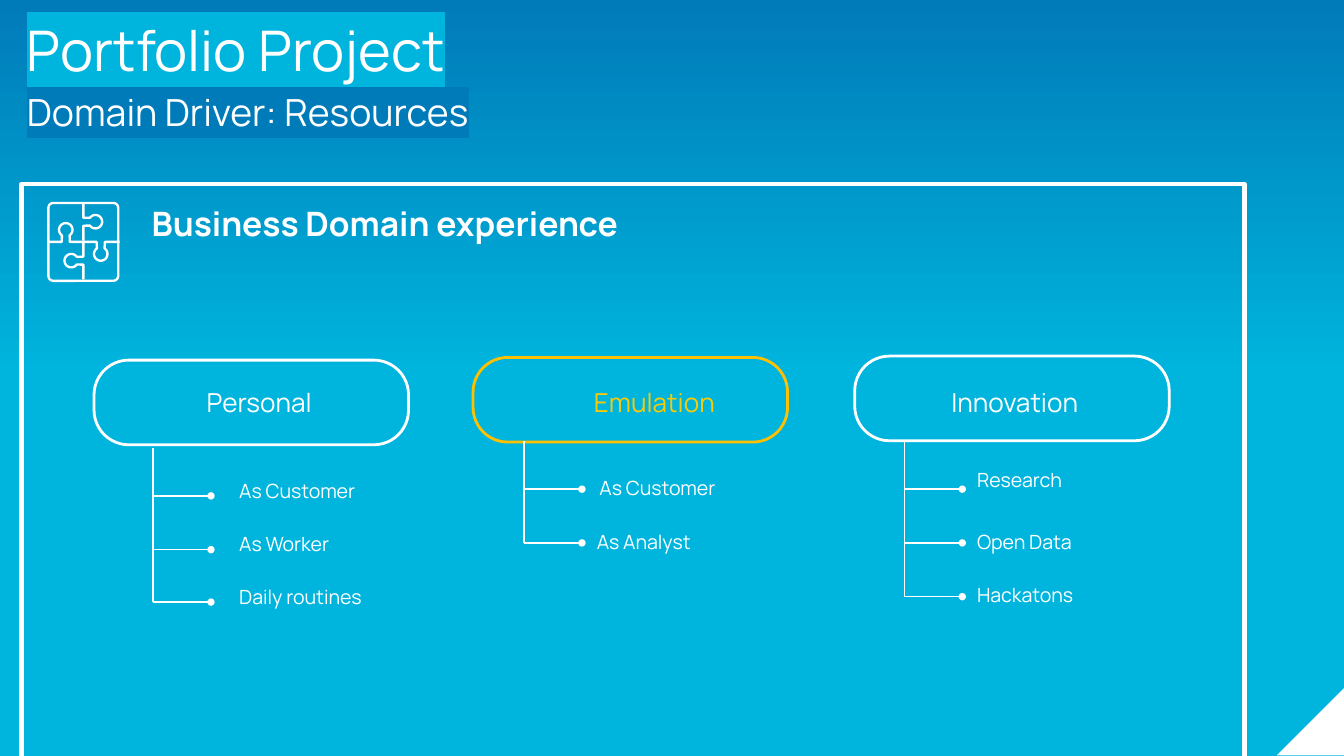
import copy
import math
from pptx import Presentation
from pptx import util as u
from pptx.dml.color import RGBColor
from pptx.enum import shapes, text
from pptx.oxml import ns
from lxml import etree

I = u.Inches
C = {"white": "FFFFFF", "cyan": "00B5DD", "blue": "007BB9",
     "gold": "FFC000", "yellow": "F9CB07"}


def write(tf, txt, size, color="white", bold=None, align=text.PP_ALIGN.LEFT,
          mark=None, spacing=None, new=False):
    p = tf.add_paragraph() if new else tf.paragraphs[0]
    p.alignment = align
    p.line_spacing = spacing
    r = p.add_run()
    r.text = txt
    r.font.size = u.Pt(size)
    r.font.bold = bold
    r.font.color.rgb = RGBColor.from_string(C[color])
    if mark:
        h = etree.SubElement(r.font._element, ns.qn("a:highlight"))
        etree.SubElement(h, ns.qn("a:srgbClr"), val=C[mark])
    r.font.name = "Manrope"


def add_line(x1, y1, x2, y2, dot=False):
    c = s.shapes.add_connector(shapes.MSO_CONNECTOR.STRAIGHT, I(x1), I(y1), I(x2), I(y2))
    c.line.color.rgb = RGBColor.from_string(C["white"])
    c.line.width = u.Pt(0.75)
    if dot:
        etree.SubElement(c.line._get_or_add_ln(), ns.qn("a:tailEnd"),
                         type="oval", w="sm", len="sm")
    etree.SubElement(c._element.spPr, ns.qn("a:effectLst"))


prs = Presentation()
prs.slide_width = I(10)
prs.slide_height = prs.slide_width * 9 // 16
s = prs.slides.add_slide(prs.slide_layouts[5])

bg = s.background.fill
bg.gradient()
bg.gradient_angle = 90
for stop, name in zip(bg.gradient_stops, ("cyan", "blue")):
    stop.color.rgb = RGBColor.from_string(C[name])
stops = next(s._element.iter(ns.qn("a:gsLst")))
middle = copy.deepcopy(stops[0])
middle.set("pos", "50000")
stops.insert(1, middle)

corner = s.shapes.add_shape(shapes.MSO_SHAPE.RIGHT_TRIANGLE, I(9.5), I(5.11), I(0.51), I(0.51))
corner.rotation = 270
corner.shadow.inherit = False
corner.fill.solid()
corner.fill.fore_color.rgb = RGBColor.from_string(C["white"])
corner.line.fill.background()

title = s.shapes.title
title.left, title.top, title.width, title.height = I(0.2), I(0.04), I(6.46), I(1.11)
tf = title.text_frame
tf.margin_left = tf.margin_top = tf.margin_right = tf.margin_bottom = 0
tf.vertical_anchor = text.MSO_ANCHOR.TOP
tf.auto_size = text.MSO_AUTO_SIZE.NONE
write(tf, "Portfolio Project", 30, mark="cyan", spacing=1.15)
write(tf, "Domain Driver: Resources", 20, mark="blue", spacing=1.15, new=True)

rect, rounded = shapes.MSO_SHAPE.RECTANGLE, shapes.MSO_SHAPE.ROUNDED_RECTANGLE
outlines = [
    (rect, 0.16, 1.37, 9.1, 5.06, "white", 2.25, None),
    (rounded, 0.36, 1.51, 0.52, 0.58, "white", 1.25, 0.07),
    (rounded, 0.7, 2.68, 2.34, 0.63, "white", 1.5, 0.41),
    (rounded, 3.52, 2.66, 2.34, 0.63, "gold", 1.5, 0.41),
    (rounded, 6.36, 2.65, 2.34, 0.63, "white", 1.5, 0.41),
]
for kind, x, y, w, h, color, weight, radius in outlines:
    sp = s.shapes.add_shape(kind, I(x), I(y), I(w), I(h))
    sp.shadow.inherit = False
    sp.fill.background()
    sp.line.color.rgb = RGBColor.from_string(C[color])
    sp.line.width = u.Pt(weight)
    if radius:
        sp.adjustments[0] = radius

arc = [math.radians(a) for a in range(235, -56, -10)]
knob = [(0.13 + 0.05 * math.cos(a), 0.09 + 0.05 * math.sin(a)) for a in arc]
seam = [(0, 0), (0.1, 0), *knob, (0.16, 0), (0.27, 0)]
for x, y, vertical, side in [(0.62, 1.52, True, 1), (0.62, 1.81, True, -1),
                             (0.36, 1.8, False, -1), (0.62, 1.8, False, 1)]:
    pts = [(x + side * n, y + t) if vertical else (x + t, y + side * n) for t, n in seam]
    fb = s.shapes.build_freeform(I(pts[0][0]), I(pts[0][1]))
    fb.add_line_segments([(I(a), I(b)) for a, b in pts[1:]], close=False)
    sp = fb.convert_to_shape()
    sp.shadow.inherit = False
    sp.fill.background()
    sp.line.color.rgb = RGBColor.from_string(C["white"])
    sp.line.width = u.Pt(1.25)

branches = [(1.14, 3.33, (3.69, 4.09, 4.48)),
            (3.9, 3.28, (3.64, 4.04)),
            (6.73, 3.28, (3.64, 4.04, 4.44))]
for x, top, ends in branches:
    for start, end in zip((top, *ends), ends):
        add_line(x, start, x, end)
        add_line(x, end, x + 0.43, end, dot=True)

center, left = text.PP_ALIGN.CENTER, text.PP_ALIGN.LEFT
labels = [
    ("Personal", 1.38, 2.89, 1.1, 14, "white", center),
    ("Emulation", 4.21, 2.89, 1.32, 14, "yellow", center),
    ("Innovation", 6.89, 2.89, 1.32, 14, "white", center),
    ("As Customer", 1.71, 3.52, 1.32, 10.5, "white", left),
    ("As Worker", 1.71, 3.91, 1.32, 10.5, "white", left),
    ("Daily routines", 1.71, 4.31, 1.32, 10.5, "white", left),
    ("As Customer", 4.39, 3.5, 1.32, 10.5, "white", left),
    ("As Analyst", 4.37, 3.9, 1.32, 10.5, "white", left),
    ("Research", 7.2, 3.44, 1.32, 10.5, "white", left),
    ("Open Data", 7.2, 3.9, 1.81, 10.5, "white", left),
    ("Hackatons", 7.2, 4.29, 1.81, 10.5, "white", left),
]
for txt, x, y, w, size, color, align in labels:
    tf = s.shapes.add_textbox(I(x), I(y), I(w), I(0.26)).text_frame
    tf.word_wrap = True
    tf.vertical_anchor = text.MSO_ANCHOR.BOTTOM
    tf.margin_left = tf.margin_right = I(0.07)
    tf.margin_top = tf.margin_bottom = I(0.04)
    write(tf, txt, size, color, align=align)

tf = s.shapes.add_textbox(I(1.03), I(1.46), I(3.68), I(0.4)).text_frame
tf.word_wrap = False
tf.auto_size = text.MSO_AUTO_SIZE.SHAPE_TO_FIT_TEXT
write(tf, "Business Domain experience", 18, bold=True)

prs.save("out.pptx")
